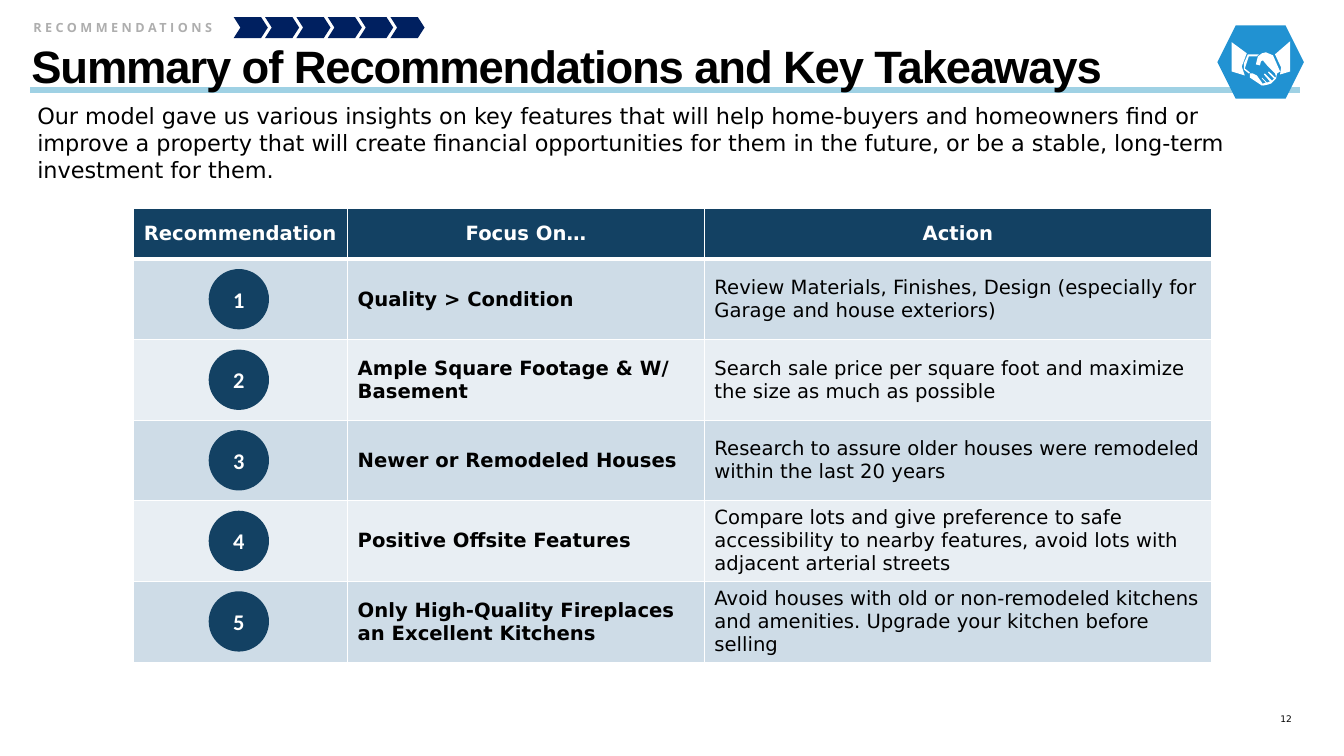
from lxml import etree
from pptx import Presentation
from pptx.dml.color import RGBColor
from pptx.enum.shapes import MSO_CONNECTOR, MSO_SHAPE
from pptx.enum.text import MSO_ANCHOR, PP_ALIGN
from pptx.oxml.ns import qn
from pptx.util import Cm, Pt

CHEVRON, HEXAGON, OVAL = MSO_SHAPE.CHEVRON, MSO_SHAPE.HEXAGON, MSO_SHAPE.OVAL
STRAIGHT = MSO_CONNECTOR.STRAIGHT
LEFT, CENTER, RIGHT = PP_ALIGN.LEFT, PP_ALIGN.CENTER, PP_ALIGN.RIGHT
MIDDLE = MSO_ANCHOR.MIDDLE

NAVY, DARK_BLUE, SKY, BLUE = "134163", "002060", "9FD1E4", "2192D2"
WHITE, BLACK, GREY = "FFFFFF", "000000", "AEAEAE"
BANDS = ("CEDCE7", "E8EEF3")
BODY = "DejaVu Sans"

SECTION_FMT = {"name": "Open Sans", "size": Pt(9), "bold": True}
TITLE_FMT = {"name": "Arial", "size": Pt(32.4), "bold": True}
INTRO_FMT = {"name": BODY, "size": Pt(16), "bold": False}
PAGE_FMT = {"name": BODY, "size": Pt(6.5), "bold": False}
STRONG_FMT = {"name": BODY, "size": Pt(14), "bold": True}
CELL_FMT = {"name": BODY, "size": Pt(14), "bold": False}
NUMBER_FMT = {"name": "Calibri", "size": Pt(16), "bold": True}

INTRO = ("Our model gave us various insights on key features that will help "
         "home-buyers and homeowners find or improve a property that will create "
         "financial opportunities for them in the future, or be a stable, "
         "long-term investment for them.")
HEADERS = ("Recommendation", "Focus On…", "Action")
ADVICE = (
    ("Quality > Condition",
     "Review Materials, Finishes, Design (especially for Garage and house exteriors)"),
    ("Ample Square Footage & W/ Basement",
     "Search sale price per square foot and maximize the size as much as possible"),
    ("Newer or Remodeled Houses",
     "Research to assure older houses were remodeled within the last 20 years"),
    ("Positive Offsite Features",
     "Compare lots and give preference to safe accessibility to nearby features, "
     "avoid lots with adjacent arterial streets"),
    ("Only High-Quality Fireplaces an Excellent Kitchens",
     "Avoid houses with old or non-remodeled kitchens and amenities. "
     "Upgrade your kitchen before selling"),
)
COL_WIDTHS = (5.41, 8.99, 12.78)
TABLE_LEFT, TABLE_TOP = 3.35, 5.26
HEAD_H, ROW_H, CIRCLE = 1.27, 2.03, 1.52
HANDSHAKE = (
    ((41, 14), (34, 11), (30, 12), (26, 15), (24, 23), (28, 24), (29, 20), (31, 19),
     (36, 25), (43, 32), (44, 35), (43, 36), (37, 30), (36, 31), (42, 37), (40, 39),
     (33, 32), (32, 33), (38, 40), (35, 41), (30, 36), (30, 37), (34, 41), (31, 42),
     (31, 44), (36, 43), (39, 42), (44, 37), (45, 32), (48, 30)),
    ((21, 32), (25, 34), (30, 41), (31, 43), (30, 44), (18, 36), (18, 32)),
    ((43, 13), (49, 26), (48, 33), (58, 30), (58, 0)),
    ((15, 12), (10, 25), (13, 34), (0, 30), (0, 1)),
    ((17, 32), (12, 28), (12, 22), (16, 13), (27, 13), (25, 15), (17, 15),
     (13, 27), (18, 31)),
)


def rgb(value):
    """Return the colour for a hex string."""
    return RGBColor.from_string(value)


def write(tf, text, fmt, color, align=LEFT, spacing=0):
    """Write one formatted paragraph into a text frame."""
    p = tf.paragraphs[0]
    p.alignment = align
    r = p.add_run()
    r.text = text
    for key, value in fmt.items():
        setattr(r.font, key, value)
    r.font.color.rgb = rgb(color)
    if spacing:
        r._r.get_or_add_rPr().set("spc", str(spacing))
    return p


def set_margins(tf, left=0, top=0, right=0, bottom=0):
    """Set the four insets of a text frame in centimetres."""
    tf.margin_left, tf.margin_top = Cm(left), Cm(top)
    tf.margin_right, tf.margin_bottom = Cm(right), Cm(bottom)


def add_text(s, box, text, fmt, color, align=LEFT, spacing=0, margins=(0, 0, 0, 0)):
    """Add a wrapping text box."""
    tf = s.shapes.add_textbox(*map(Cm, box)).text_frame
    tf.word_wrap = True
    set_margins(tf, *margins)
    write(tf, text, fmt, color, align, spacing)


def paint(sp, color):
    """Give a shape a flat fill with no line or shadow."""
    sp.shadow.inherit = False
    sp.fill.solid()
    sp.fill.fore_color.rgb = rgb(color)
    sp.line.fill.background()


def add_block(s, kind, box, color):
    """Add a flat preset shape."""
    sp = s.shapes.add_shape(kind, *map(Cm, box))
    paint(sp, color)
    return sp


def add_rule(s, x1, x2, y):
    """Add the horizontal rule under the title."""
    line = s.shapes.add_connector(STRAIGHT, Cm(x1), Cm(y), Cm(x2), Cm(y))
    line.line.color.rgb = rgb(SKY)
    line.line.width = Pt(4.5)
    etree.SubElement(line._element.spPr, qn("a:effectLst"))


def add_handshake(s, left, top):
    """Add the handshake outline as one freeform."""
    fb = s.shapes.build_freeform(*HANDSHAKE[0][0], scale=Cm(2.54) / 100)
    for i, outline in enumerate(HANDSHAKE):
        if i:
            fb.move_to(*outline[0])
        fb.add_line_segments(outline[1:], close=True)
    paint(fb.convert_to_shape(Cm(left), Cm(top)), WHITE)


def set_borders(cell, top, bottom):
    """Draw white cell borders with widths in points."""
    tc_pr = cell._tc.get_or_add_tcPr()
    for side, width in (("L", 1), ("R", 1), ("T", top), ("B", bottom)):
        ln = etree.SubElement(tc_pr, qn(f"a:ln{side}"), w=str(Pt(width)))
        fill = etree.SubElement(ln, qn("a:solidFill"))
        etree.SubElement(fill, qn("a:srgbClr"), val=WHITE)


def add_advice_table(s):
    """Add the table of recommendations."""
    rows = [HEADERS] + [("", focus, action) for focus, action in ADVICE]
    box = (TABLE_LEFT, TABLE_TOP, sum(COL_WIDTHS), HEAD_H + ROW_H * len(ADVICE))
    table = s.shapes.add_table(len(rows), len(HEADERS), *map(Cm, box)).table
    for column, width in zip(table.columns, COL_WIDTHS):
        column.width = Cm(width)
    for i, texts in enumerate(rows):
        head = i == 0
        table.rows[i].height = Cm(HEAD_H if head else ROW_H)
        for j, text in enumerate(texts):
            cell = table.cell(i, j)
            set_borders(cell, 3 if i == 1 else 1, 3 if head else 1)
            cell.fill.solid()
            cell.fill.fore_color.rgb = rgb(NAVY if head else BANDS[(i - 1) % 2])
            cell.vertical_anchor = MIDDLE
            if text:
                p = write(cell.text_frame, text, STRONG_FMT if head or j == 1 else CELL_FMT,
                          WHITE if head else BLACK, CENTER if head else LEFT)
                if j == 2 and not head:
                    p.space_before = Pt(2)


def add_number(s, index):
    """Add the numbered circle of one table row."""
    top = TABLE_TOP + HEAD_H + 0.25 + index * ROW_H
    sp = add_block(s, OVAL, (5.26, top, CIRCLE, CIRCLE), NAVY)
    tf = sp.text_frame
    set_margins(tf)
    tf.vertical_anchor = MIDDLE
    write(tf, str(index + 1), NUMBER_FMT, WHITE, CENTER)


def main():
    """Build the slide and save it."""
    prs = Presentation()
    prs.slide_width, prs.slide_height = Cm(33.87), Cm(19.05)
    s = prs.slides.add_slide(prs.slide_layouts[6])
    add_text(s, (31.7, 17.98, 0.86, 0.28), "12", PAGE_FMT, BLACK, RIGHT)
    add_rule(s, 0.76, 32.77, 2.27)
    add_block(s, HEXAGON, (30.68, 0.64, 2.18, 1.85), BLUE)
    add_text(s, (0.79, 0.84, 31.27, 0.94), "Summary of Recommendations and Key Takeaways",
             TITLE_FMT, BLACK, spacing=-80, margins=(0, 0.13, 0, 0))
    add_text(s, (0.84, 0.5, 9.32, 0.56), "RECOMMENDATIONS", SECTION_FMT, GREY, spacing=250)
    add_text(s, (0.69, 2.44, 31.27, 1.55), INTRO, INTRO_FMT, BLACK,
             margins=(0.25, 0.13, 0.25, 0.13))
    add_advice_table(s)
    for i in range(len(ADVICE)):
        add_number(s, i)
    for i in range(6):
        sp = add_block(s, CHEVRON, (5.89 + i * 0.79, 0.43, 0.86, 0.53), DARK_BLUE)
        sp.adjustments[0] = 0.32
    add_handshake(s, 31.04, 1.04)
    prs.save("out.pptx")


if __name__ == "__main__":
    main()
